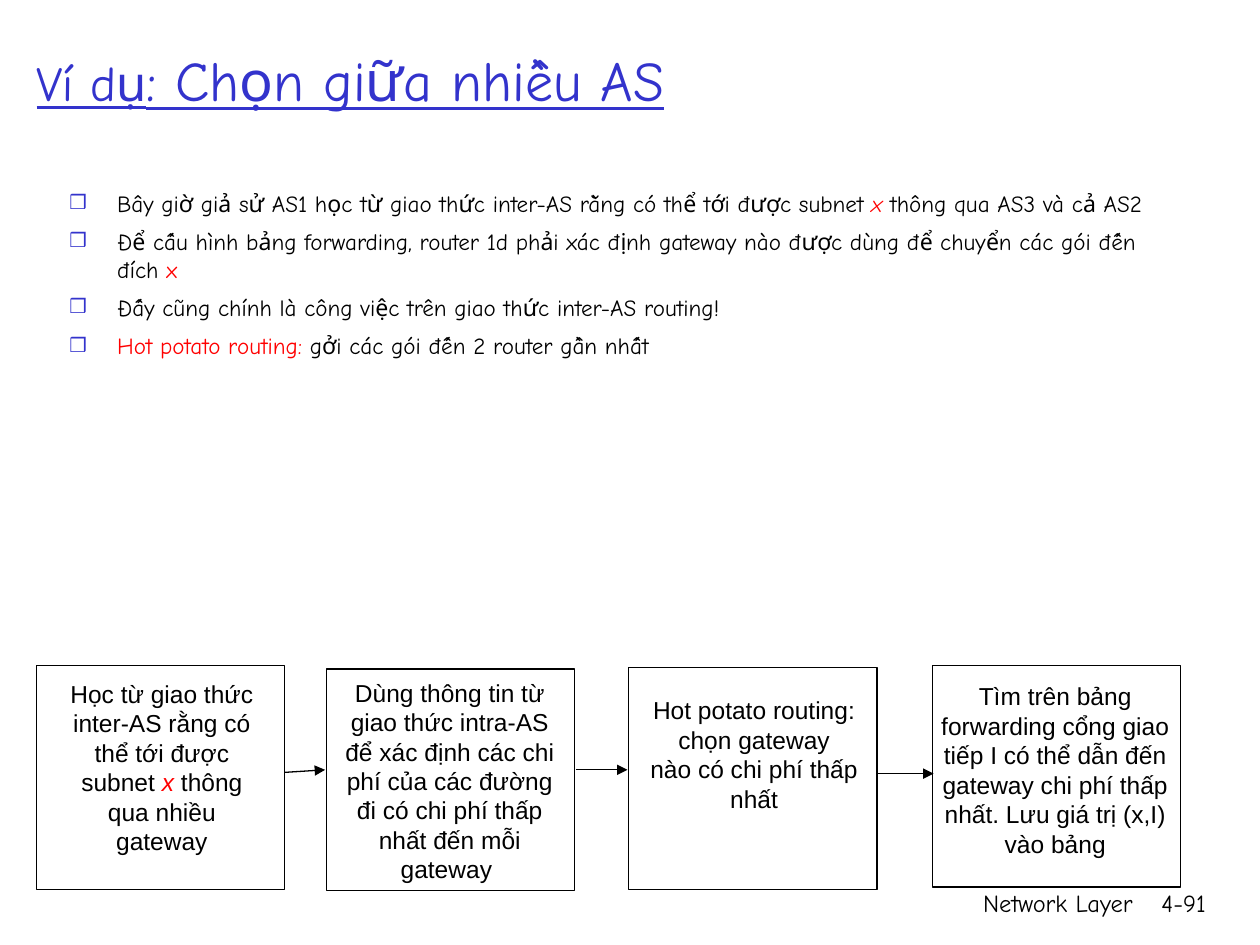
from pptx import Presentation
from pptx.dml.color import RGBColor as RGB
from pptx.enum.shapes import MSO_CONNECTOR as Conn, MSO_SHAPE as Shape
from pptx.enum.text import MSO_ANCHOR as Anchor, MSO_AUTO_SIZE as Fit, PP_ALIGN as Align
from pptx.oxml.ns import qn
from pptx.util import Inches, Pt
from lxml.etree import SubElement as Sub

BLUE, RED, BLACK = "3333CC", "FF0000", "000000"
COMIC, ARIAL = "Comic Neue", "Arial"

TITLE = [("Ví dụ", 28), (": Chọn giữa nhiều AS", 32)]
ITEMS = [
    [("Bây giờ giả sử AS1 học từ giao thức inter-AS rằng có thể tới được subnet ",),
     ("x", RED, True), (" thông qua AS3 và cả AS2",)],
    [("Để cấu hình bảng forwarding, router 1d phải xác định gateway nào "
      "được dùng để chuyển các gói đến đích ",), ("x", RED)],
    [("Đấy cũng chính là công việc trên giao thức inter-AS routing!",)],
    [("Hot potato routing:", RED), (" gởi các gói đến 2 router gần nhất",)],
]
STEPS = [
    ((0.29, 5.28, 1.97, 1.78), (0.45, 5.34, 1.67, 1.5),
     [[("Học từ giao thức inter-AS rằng có thể tới được subnet ",),
       ("x", RED, True), (" thông qua nhiều gateway",)]]),
    ((2.59, 5.31, 1.97, 1.76), (2.56, 5.33, 2.02, 1.74),
     [[("Dùng thông tin từ giao thức intra-AS để xác định các chi phí của "
        "các đường đi có chi phí thấp nhất đến mỗi gateway ",)]]),
    ((4.99, 5.3, 1.97, 1.76), (5, 5.47, 1.97, 1.04),
     [[("Hot potato routing:",)], [("chọn gateway",)], [("nào có chi phí thấp nhất",)]]),
    ((7.4, 5.28, 1.97, 1.76), (7.35, 5.36, 2.05, 1.5),
     [[("Tìm trên bảng forwarding cổng giao tiếp I có thể dẫn đến gateway "
        "chi phí thấp nhất. Lưu giá trị (x,I) vào bảng",)]]),
]
ARROWS = [(2.26, 6.13, 2.58, 6.11), (4.57, 6.11, 4.98, 6.11), (6.97, 6.14, 7.41, 6.14)]
FOOTER = [("Network Layer", (5.92, 7, 3.17, 0.5)), ("4-91", (8.93, 7, 0.74, 0.5))]


def ins(at):
    return [Inches(v) for v in at]


def paint(item, tone):
    item.color.rgb = RGB.from_string(tone)


def place(shape, at):
    shape.left, shape.top, shape.width, shape.height = ins(at)


def write(frame, paras, face, size, align):
    frame.word_wrap = True
    frame.auto_size = Fit.NONE
    for i, runs in enumerate(paras):
        para = frame.add_paragraph() if i else frame.paragraphs[0]
        para.alignment = align
        para.font.name, para.font.size = face, Pt(size)
        for text, tone, slant in ((*run, BLACK, False)[:3] if len(run) == 1
                                  else (*run, False)[:3] for run in runs):
            run = para.add_run()
            run.text = text
            paint(run.font, tone)
            if slant:
                run.font.italic = True


def label(slide, at, paras, face, align):
    box = slide.shapes.add_textbox(*ins(at))
    write(box.text_frame, paras, face, 14, align)


def bullet(para):
    para.space_before = Pt(6)
    props = para._p.get_or_add_pPr()
    props.set("marL", str(Inches(0.38)))
    props.set("indent", str(-Inches(0.38)))
    tint = Sub(props, qn("a:buClr"))
    Sub(tint, qn("a:srgbClr"), val=BLUE)
    Sub(props, qn("a:buSzPct"), val="85000")
    mark = Sub(props, qn("a:buChar"), char="❒")
    props.remove(mark)
    props.append(mark)
    base = props.find(qn("a:defRPr"))
    if base is not None:
        props.remove(base)
        props.append(base)


def arrow(slide, ends):
    line = slide.shapes.add_connector(Conn.STRAIGHT, *ins(ends))
    paint(line.line, BLACK)
    line.line.width = Pt(0.75)
    Sub(line.line._get_or_add_ln(), qn("a:tailEnd"), type="triangle")
    Sub(line._element.spPr, qn("a:effectLst"))


def main():
    deck = Presentation()
    deck.slide_width, deck.slide_height = Inches(10), Inches(7.5)
    slide = deck.slides.add_slide(deck.slide_layouts[1])
    title, body = slide.placeholders

    place(title, (0.19, 0, 9.59, 1.25))
    head = title.text_frame
    head.vertical_anchor, head.auto_size = Anchor.MIDDLE, Fit.NONE
    para = head.paragraphs[0]
    para.alignment = Align.LEFT
    para.font.name, para.font.underline = COMIC, True
    paint(para.font, BLUE)
    for text, size in TITLE:
        run = para.add_run()
        run.text = text
        run.font.name, run.font.size, run.font.underline = COMIC, Pt(size), True
        paint(run.font, BLUE)

    place(body, (0.45, 1.45, 8.74, 1.78))
    write(body.text_frame, ITEMS, COMIC, 13.2, Align.LEFT)
    for para in body.text_frame.paragraphs:
        bullet(para)
        for run in para.runs:
            run.font.name, run.font.size = COMIC, Pt(13.2)

    for text, at in FOOTER:
        label(slide, at, [[(text,)]], COMIC, Align.RIGHT)
    for at, spot, paras in STEPS:
        box = slide.shapes.add_shape(Shape.RECTANGLE, *ins(at))
        box.shadow.inherit = False
        box.fill.background()
        paint(box.line, BLACK)
        box.line.width = Pt(0.75)
        label(slide, spot, paras, ARIAL, Align.CENTER)
    for ends in ARROWS:
        arrow(slide, ends)
    deck.save("out.pptx")


if __name__ == "__main__":
    main()
